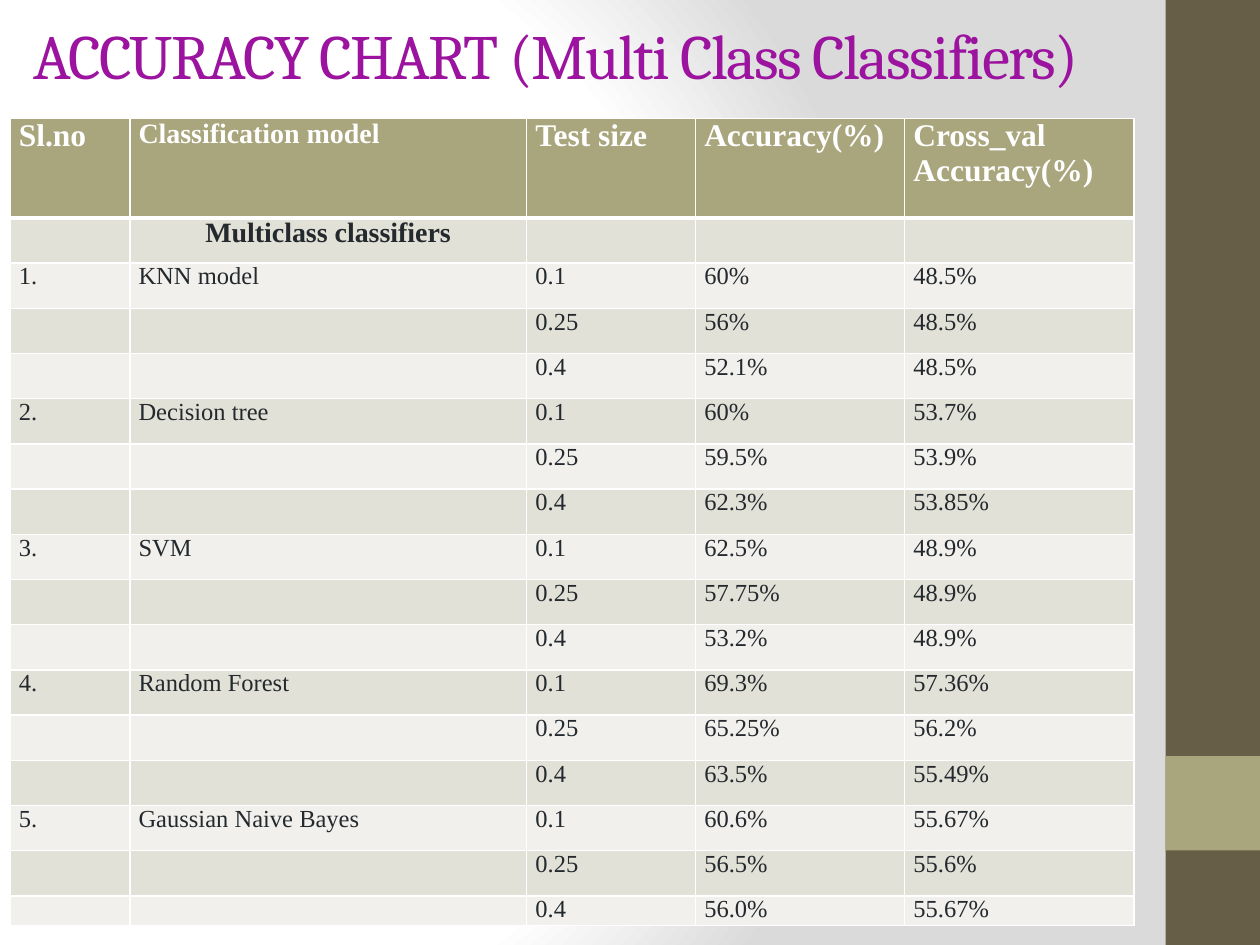
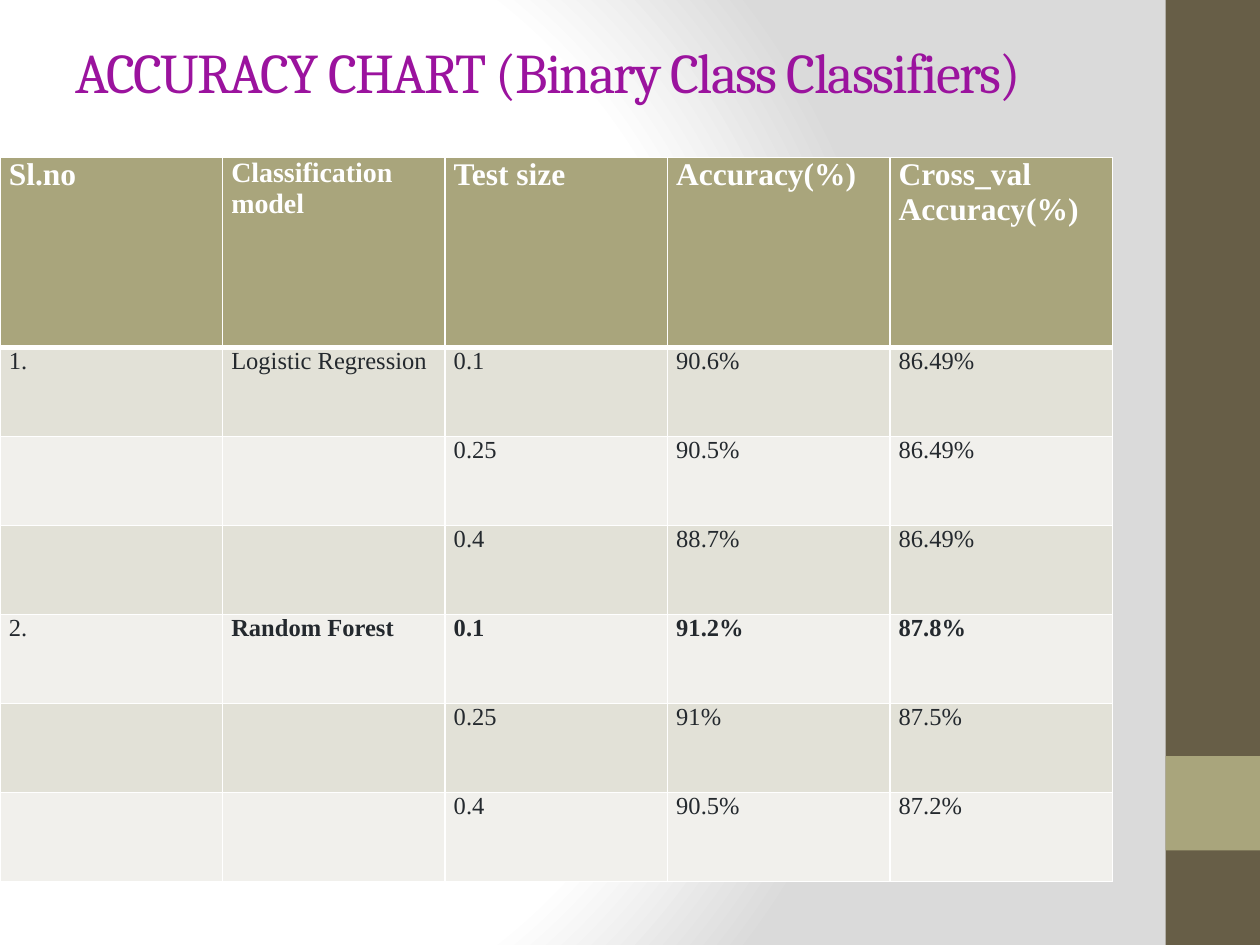
from pptx import Presentation
from pptx.dml.color import RGBColor
from pptx.enum.shapes import MSO_SHAPE
from pptx.enum.text import MSO_ANCHOR, PP_ALIGN
from pptx.oxml import parse_xml
from pptx.oxml.ns import nsdecls, qn
from pptx.util import Inches, Pt
from lxml.etree import SubElement

WHITE = RGBColor(0xFF, 0xFF, 0xFF)
SILVER = RGBColor(0xDA, 0xDA, 0xDA)
BROWN = RGBColor(0x67, 0x5E, 0x47)
OLIVE = RGBColor(0xA9, 0xA5, 0x7C)
PURPLE = RGBColor(0x9B, 0x13, 0x9E)
INK = RGBColor(0x24, 0x29, 0x2E)
ROW_FILLS = (RGBColor(0xE2, 0xE1, 0xD7), RGBColor(0xF1, 0xF0, 0xEC))

TITLE_FONT, TABLE_FONT = "Cambria", "Times New Roman"
BODY_SIZE = 14
HEADINGS = ["Sl.no", "Classification model", "Test size", "Accuracy(%)",
            "Cross_val\nAccuracy(%)"]
HEADING_SIZES = [18, 16, 18, 18, 18]
TEST_SIZES = ["0.1", "0.25", "0.4"]

MULTICLASS_RESULTS = {
    "KNN model": [("60%", "48.5%"), ("56%", "48.5%"), ("52.1%", "48.5%")],
    "Decision tree": [("60%", "53.7%"), ("59.5%", "53.9%"), ("62.3%", "53.85%")],
    "SVM": [("62.5%", "48.9%"), ("57.75%", "48.9%"), ("53.2%", "48.9%")],
    "Random Forest": [("69.3%", "57.36%"), ("65.25%", "56.2%"), ("63.5%", "55.49%")],
    "Gaussian Naive Bayes": [("60.6%", "55.67%"), ("56.5%", "55.6%"), ("56.0%", "55.67%")],
}
BINARY_RESULTS = {
    "Logistic Regression": [("90.6%", "86.49%"), ("90.5%", "86.49%"), ("88.7%", "86.49%")],
    "Random Forest": [("91.2%", "87.8%"), ("91%", "87.5%"), ("90.5%", "87.2%")],
}


def set_backdrop(master):
    """Give the master a circular gradient from white to silver."""
    master.background.fill.solid()
    stops = "".join(
        f'<a:gs pos="{position}000"><a:srgbClr val="{color}"/></a:gs>'
        for position, color in ((0, WHITE), (75, WHITE), (100, SILVER)))
    gradient = parse_xml(
        f'<a:gradFill rotWithShape="1" {nsdecls("a")}><a:gsLst>{stops}</a:gsLst>'
        '<a:path path="circle"><a:fillToRect l="20000" t="50000" r="100000" b="50000"/>'
        '</a:path></a:gradFill>')
    solid = next(master.element.iter(qn("p:bgPr")))[0]
    solid.getparent().replace(solid, gradient)


def add_band(slide, top, height, color):
    """Draw one plain block of the right-hand band."""
    band = slide.shapes.add_shape(MSO_SHAPE.RECTANGLE, Inches(9.25), Inches(top),
                                  Inches(0.75), Inches(height))
    band.shadow.inherit = False
    band.fill.solid()
    band.fill.fore_color.rgb = color
    band.line.fill.background()


def add_title(slide, wording, left, top, width, height, size):
    """Write the slide title with tightened letters."""
    title = slide.shapes.add_textbox(Inches(left), Inches(top), Inches(width), Inches(height))
    frame = title.text_frame
    frame.text = wording
    frame.word_wrap = True
    frame.vertical_anchor = MSO_ANCHOR.MIDDLE
    run = frame.paragraphs[0].runs[0]
    run.font.name = TITLE_FONT
    run.font.size = Pt(size)
    run.font.color.rgb = PURPLE
    run.font._element.set("spc", "-100")


def add_titled_slide(deck, wording, *placing):
    """Add a blank slide with the side band and a title."""
    slide = deck.slides.add_slide(deck.slide_layouts[6])
    add_band(slide, 0, 7.5, BROWN)
    add_band(slide, 6, 0.75, OLIVE)
    add_title(slide, wording, *placing)
    return slide


def set_borders(cell, top=1, bottom=1):
    """Rule all four sides of a cell in white, with widths in points."""
    sides = {"lnL": 1, "lnR": 1, "lnT": top, "lnB": bottom}
    for place, (side, width) in enumerate(sides.items()):
        cell._tc.get_or_add_tcPr().insert(place, parse_xml(
            f'<a:{side} w="{Pt(width)}" {nsdecls("a")}><a:solidFill>'
            f'<a:srgbClr val="{WHITE}"/></a:solidFill></a:{side}>'))


def fill_cell(cell, wording, fill, color=INK, size=BODY_SIZE, bold=False, align=None):
    """Write and format one table cell."""
    cell.fill.solid()
    cell.fill.fore_color.rgb = fill
    cell.margin_left = cell.margin_right = Inches(0.07)
    cell.margin_top = cell.margin_bottom = 0
    cell.text_frame.text = wording
    for paragraph in cell.text_frame.paragraphs:
        paragraph.alignment = align
        for run in paragraph.runs:
            run.font.name = TABLE_FONT
            run.font.size = Pt(size)
            run.font.bold = bold
            run.font.color.rgb = color
        if not paragraph.runs:
            SubElement(paragraph._p, qn("a:endParaRPr")).set("sz", str(size * 100))


def result_rows(results):
    """List the table rows, naming each model only on its first row."""
    rows = []
    for number, (model, scores) in enumerate(results.items(), 1):
        for trial, (test_size, score) in enumerate(zip(TEST_SIZES, scores)):
            label = ["", ""] if trial else [f"{number}.", model]
            rows.append([*label, test_size, *score])
    return rows


def add_accuracy_table(slide, left, top, columns, heights, rows):
    """Add a table with the shared headings and banded rows, and return it."""
    table = slide.shapes.add_table(len(heights), len(columns), Inches(left), Inches(top),
                                   Inches(sum(columns)), Inches(sum(heights))).table
    for column, width in zip(table.columns, columns):
        column.width = Inches(width)
    for row, height in zip(table.rows, heights):
        row.height = Inches(height)
    for cell, heading, size in zip(table.rows[0].cells, HEADINGS, HEADING_SIZES):
        fill_cell(cell, heading, OLIVE, WHITE, size, bold=True)
        set_borders(cell, bottom=3)
    for index, wordings in enumerate(rows):
        for cell, wording in zip(table.rows[index + 1].cells, wordings):
            fill_cell(cell, wording, ROW_FILLS[index % 2])
            set_borders(cell, top=1 if index else 3)
    return table


def add_multiclass_slide(deck):
    """Build the slide on multi class classifiers."""
    slide = add_titled_slide(deck, "ACCURACY CHART (Multi Class Classifiers)",
                             0.17, 0.08, 8.83, 0.7, 36)
    group = "Multiclass classifiers"
    rows = [["", group, "", "", ""]] + result_rows(MULTICLASS_RESULTS)
    header, last, total = 0.79, 0.23, 6.4
    middle = len(rows) - 1
    heights = [header] + [(total - header - last) / middle] * middle + [last]
    table = add_accuracy_table(slide, 0.08, 0.94, [0.95, 3.15, 1.34, 1.66, 1.82],
                               heights, rows)
    fill_cell(table.cell(1, 1), group, ROW_FILLS[0], size=16, bold=True,
              align=PP_ALIGN.CENTER)


def add_binary_slide(deck):
    """Build the slide on binary classifiers, with the best result in bold."""
    slide = add_titled_slide(deck, "ACCURACY CHART (Binary Class Classifiers)",
                             0.5, 0.3, 9, 0.53, 32)
    rows = result_rows(BINARY_RESULTS)
    header, total = 1.51, 5.75
    heights = [header] + [(total - header) / len(rows)] * len(rows)
    columns = [8.83 / len(HEADINGS)] * len(HEADINGS)
    table = add_accuracy_table(slide, 0, 1.25, columns, heights, rows)
    best = 1 + len(TEST_SIZES)
    for column in range(1, len(HEADINGS)):
        table.cell(best, column).text_frame.paragraphs[0].runs[0].font.bold = True


def main():
    """Build and save the deck."""
    deck = Presentation()
    deck.slide_width, deck.slide_height = Inches(10), Inches(7.5)
    set_backdrop(deck.slide_master)
    add_multiclass_slide(deck)
    add_binary_slide(deck)
    deck.save("out.pptx")


if __name__ == "__main__":
    main()
